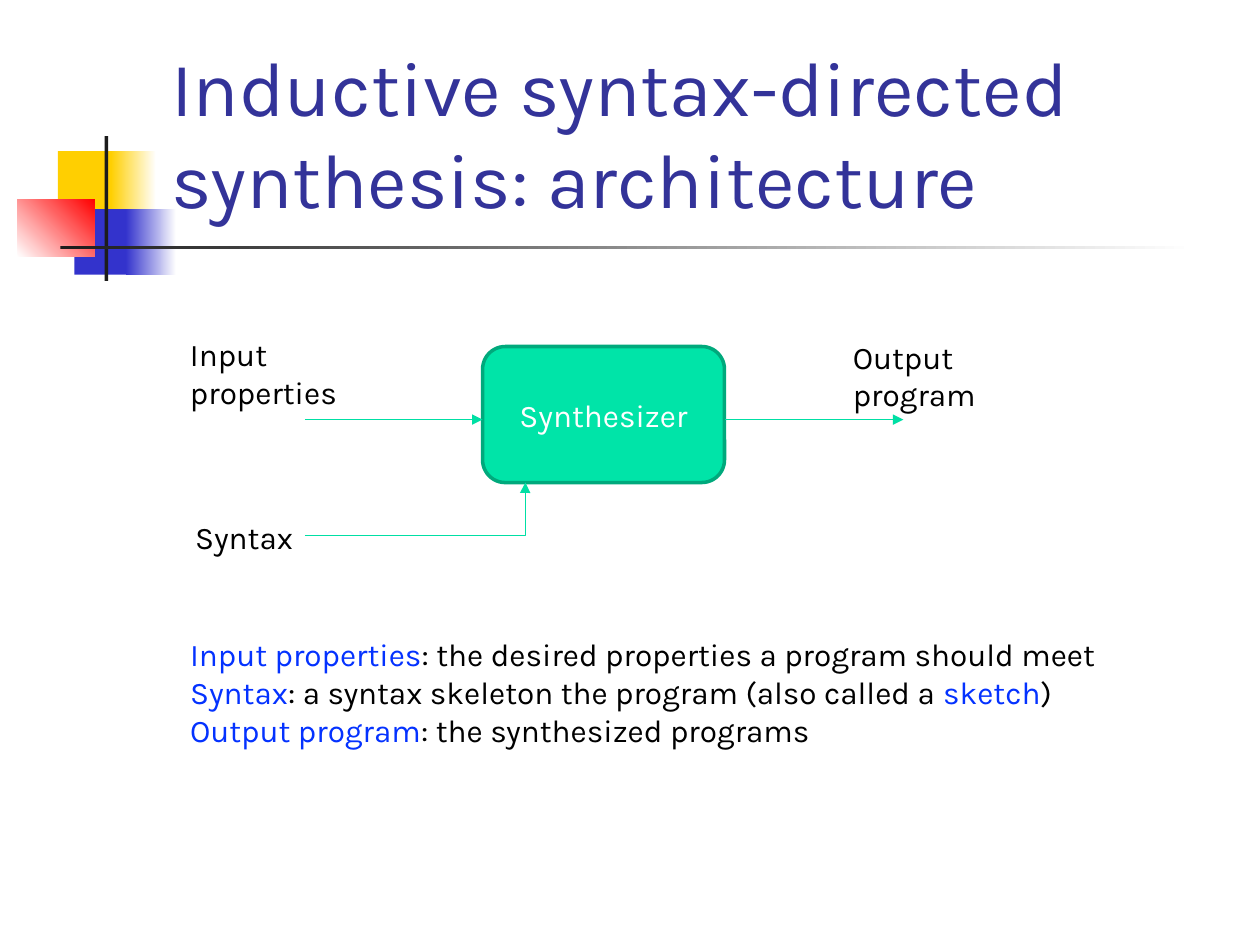
from lxml import etree
from pptx import Presentation
from pptx.dml.color import RGBColor
from pptx.enum.shapes import MSO_CONNECTOR, MSO_SHAPE
from pptx.enum.text import MSO_ANCHOR, MSO_AUTO_SIZE, PP_ALIGN
from pptx.oxml.ns import qn
from pptx.util import Inches, Pt

RECTANGLE, ROUNDED = MSO_SHAPE.RECTANGLE, MSO_SHAPE.ROUNDED_RECTANGLE
STRAIGHT, ELBOW = MSO_CONNECTOR.STRAIGHT, MSO_CONNECTOR.ELBOW
FONT = "Karla"
TITLE_BLUE, KEYWORD_BLUE = "333399", "0432FF"
YELLOW, BLUE, RED, DARK = "FFCF01", "3333CC", "FF0000", "1C1C1C"
WHITE, BLACK = "FFFFFF", "000000"
BOX_GREEN, BORDER_GREEN, ARROW_GREEN = "00E4A8", "00A97C", "00DFA4"

# Left, top, width, height, colours (two make a gradient), gradient angle
DECORATION = [
    (0.46, 1.2, 0.48, 0.52, [YELLOW], 0),
    (0.88, 1.2, 0.36, 0.52, [YELLOW, WHITE], 0),
    (0.59, 1.66, 0.46, 0.52, [BLUE], 0),
    (1, 1.66, 0.4, 0.52, [BLUE, WHITE], 0),
    (0.14, 1.58, 0.61, 0.46, [WHITE, RED], 45),
    (0.83, 1.08, 0.03, 1.15, [DARK], 0),
    (0.48, 1.95, 9, 0.03, [DARK, WHITE], 0),
]
# Keywords alternate with plain text
DEFINITIONS = [
    ["Input properties", ": the desired properties a program should meet"],
    ["Syntax", ": a syntax skeleton the program (also called a ", "sketch", ")"],
    ["Output program", ": the synthesized programs"],
]
BOX_LEFT, BOX_TOP, BOX_WIDTH, BOX_HEIGHT = 3.83, 2.75, 1.92, 1.08
BOX_RIGHT, BOX_BOTTOM = BOX_LEFT + BOX_WIDTH, BOX_TOP + BOX_HEIGHT
FLOW_Y, SYNTAX_Y = 3.33, 4.25
INPUT_X, OUTPUT_X, SYNTAX_X = 2.42, 7.17, 4.17
LABEL_LEFT, LABEL_WIDTH = 1.41, 1.7


def color(value):
    return RGBColor.from_string(value)


def set_font(target, size, value):
    target.font.name = FONT
    target.font.size = Pt(size)
    target.font.color.rgb = color(value)


def place(shape, left, top, width, height):
    shape.left, shape.top = Inches(left), Inches(top)
    shape.width, shape.height = Inches(width), Inches(height)


def add_block(slide, kind, left, top, width, height, colors, angle=0):
    """Add a borderless shape filled with one colour or a two-colour gradient."""
    shape = slide.shapes.add_shape(
        kind, Inches(left), Inches(top), Inches(width), Inches(height))
    shape.shadow.inherit = False
    shape.line.fill.background()
    if len(colors) == 1:
        shape.fill.solid()
        shape.fill.fore_color.rgb = color(colors[0])
    else:
        shape.fill.gradient()
        shape.fill.gradient_angle = angle
        for stop, value in zip(shape.fill.gradient_stops, colors):
            stop.color.rgb = color(value)
    return shape


def add_title(slide, text):
    title = slide.shapes.title
    place(title, 1.26, 0.23, 8.52, 1.6)
    frame = title.text_frame
    frame.text = text
    frame.auto_size = MSO_AUTO_SIZE.NONE
    frame.vertical_anchor = MSO_ANCHOR.BOTTOM
    frame.paragraphs[0].alignment = PP_ALIGN.LEFT
    set_font(frame.paragraphs[0], 44, TITLE_BLUE)
    # Bring the title in front of the decoration
    title._element.getparent().append(title._element)


def add_synthesizer(slide):
    box = add_block(slide, ROUNDED, BOX_LEFT, BOX_TOP, BOX_WIDTH, BOX_HEIGHT,
                    [BOX_GREEN])
    box.line.color.rgb = color(BORDER_GREEN)
    box.line.width = Pt(2)
    frame = box.text_frame
    frame.text = "Synthesizer"
    frame.vertical_anchor = MSO_ANCHOR.MIDDLE
    frame.paragraphs[0].alignment = PP_ALIGN.CENTER
    set_font(frame.paragraphs[0], 18, WHITE)


def add_text_box(slide, left, top, width, height):
    box = slide.shapes.add_textbox(
        Inches(left), Inches(top), Inches(width), Inches(height))
    box.text_frame.word_wrap = True
    box.text_frame.auto_size = MSO_AUTO_SIZE.SHAPE_TO_FIT_TEXT
    return box.text_frame


def add_label(slide, text, left, top, height):
    frame = add_text_box(slide, left, top, LABEL_WIDTH, height)
    frame.text = text
    set_font(frame.paragraphs[0], 18, BLACK)


def add_definitions(slide):
    frame = add_text_box(slide, LABEL_LEFT, 4.99, 8.01, 1.01)
    for row, parts in enumerate(DEFINITIONS):
        paragraph = frame.add_paragraph() if row else frame.paragraphs[0]
        for index, text in enumerate(parts):
            run = paragraph.add_run()
            run.text = text
            set_font(run, 18, BLACK if index % 2 else KEYWORD_BLUE)


def add_arrow(slide, kind, start, end):
    arrow = slide.shapes.add_connector(
        kind, *(Inches(value) for value in (*start, *end)))
    arrow.line.color.rgb = color(ARROW_GREEN)
    arrow.line.width = Pt(0.75)
    etree.SubElement(arrow.line._get_or_add_ln(), qn("a:tailEnd"), type="triangle")
    properties = arrow._element.spPr
    etree.SubElement(properties, qn("a:effectLst"))
    if kind == ELBOW:
        # Turn upwards only at the far end
        guides = properties.find(qn("a:prstGeom")).get_or_add_avLst()
        etree.SubElement(guides, qn("a:gd"), name="adj1", fmla="val 99900")


def main():
    presentation = Presentation()
    presentation.slide_width, presentation.slide_height = Inches(10), Inches(7.5)
    slide = presentation.slides.add_slide(presentation.slide_layouts[5])

    for left, top, width, height, colors, angle in DECORATION:
        add_block(slide, RECTANGLE, left, top, width, height, colors, angle)
    add_title(slide, "Inductive syntax-directed synthesis: architecture")

    add_synthesizer(slide)
    add_arrow(slide, STRAIGHT, (INPUT_X, FLOW_Y), (BOX_LEFT, FLOW_Y))
    add_label(slide, "Input properties", LABEL_LEFT, 2.61, 0.71)
    add_label(slide, "Output program", 6.67, 2.63, 0.71)
    add_arrow(slide, STRAIGHT, (BOX_RIGHT, FLOW_Y), (OUTPUT_X, FLOW_Y))
    add_label(slide, "Syntax", 1.45, 4.06, 0.4)
    add_arrow(slide, ELBOW, (INPUT_X, SYNTAX_Y), (SYNTAX_X, BOX_BOTTOM))
    add_definitions(slide)

    presentation.save("out.pptx")


if __name__ == "__main__":
    main()
